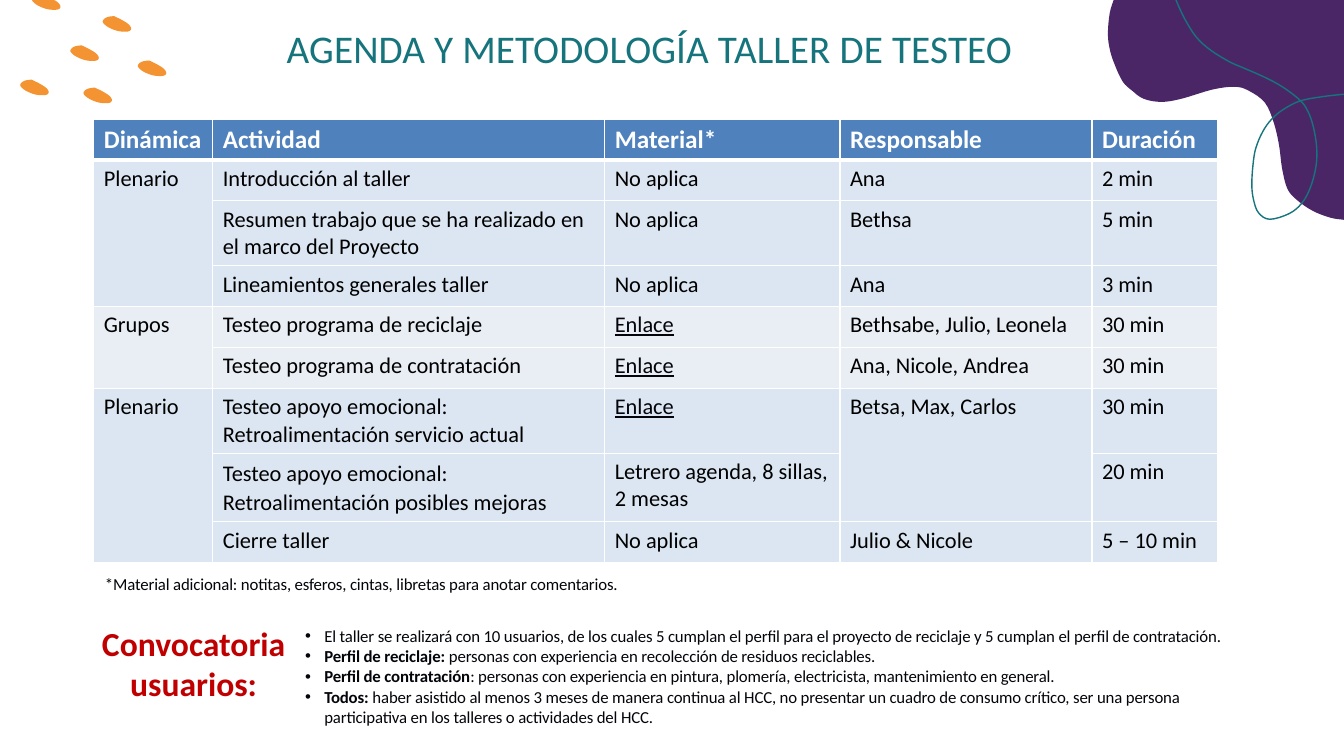
from dataclasses import dataclass

from lxml.etree import SubElement
from pptx import Presentation
from pptx.dml.color import RGBColor
from pptx.enum.text import MSO_ANCHOR, MSO_AUTO_SIZE, PP_ALIGN
from pptx.oxml import parse_xml
from pptx.oxml.ns import nsdecls, qn
from pptx.util import Pt


@dataclass(frozen=True)
class Theme:
    font: str = "Calibri"
    teal: str = "15747C"
    purple: str = "4B2667"
    orange: str = "F49331"
    red: str = "C00000"
    ink: str = "04050B"
    black: str = "000000"
    white: str = "FFFFFF"
    header: str = "4F81BD"
    blue_band: str = "DCE6F2"
    pale_band: str = "E9EDF4"
    title_size: float = 28
    callout_size: float = 24
    header_size: float = 18
    cell_size: float = 16
    note_size: float = 12


THEME = Theme()

# Content
TITLE = "AGENDA Y METODOLOGÍA TALLER DE TESTEO "
HEADINGS = ["Dinámica", "Actividad", "Material*", "Responsable", "Duración"]
LINK = "Enlace"
# None continues the cell above
AGENDA = [
    ["Plenario", "Introducción al taller", "No aplica", "Ana", "2 min"],
    [None, "Resumen trabajo que se ha realizado en el marco del Proyecto",
     "No aplica", "Bethsa", "5 min"],
    [None, "Lineamientos generales taller", "No aplica", "Ana", "3 min"],
    ["Grupos", "Testeo programa de reciclaje", LINK, "Bethsabe, Julio, Leonela", "30 min"],
    [None, "Testeo programa de contratación", LINK, "Ana, Nicole, Andrea", "30 min"],
    ["Plenario", "Testeo apoyo emocional: Retroalimentación servicio actual", LINK,
     "Betsa, Max, Carlos", "30 min"],
    [None, "Testeo apoyo emocional:\nRetroalimentación posibles mejoras",
     "Letrero agenda, 8 sillas, 2 mesas", None, "20 min"],
    [None, "Cierre taller", "No aplica", "Julio & Nicole", "5 – 10 min"],
]
FOOTNOTE = "*Material adicional: notitas, esferos, cintas, libretas para anotar comentarios."
CALLOUT = "Convocatoria usuarios:"
# Bold lead, then the rest
PROFILES = [
    ("", "El taller se realizará con 10 usuarios, de los cuales 5 cumplan el perfil para el "
         "proyecto de reciclaje y 5 cumplan el perfil de contratación."),
    ("Perfil de reciclaje: ", "personas con experiencia en recolección de residuos reciclables."),
    ("Perfil de contratación", ": personas con experiencia en pintura, plomería, electricista, "
                               "mantenimiento en general."),
    ("Todos: ", "haber asistido al menos 3 meses de manera continua al HCC, no presentar un cuadro "
                "de consumo crítico, ser una persona participativa en los talleres o actividades "
                "del HCC."),
]

# Geometry, in points
PAGE_WIDTH, PAGE_HEIGHT = 960, 540
COLUMN_WIDTHS = [85, 280, 168, 180, 89.8]
ROW_HEIGHTS = [29.2, 29.2, 45.7, 29.2, 29.2, 29.2, 45.7, 48.2, 29.2]
PETAL = [(8, 0), (4, 0.5), (1, 2), (0, 4.5), (4, 8), (11, 10.7), (18, 11), (20.2, 9),
         (18.5, 6), (14, 3), (8, 0)]
PETAL_PLACES = [(73.5, 11.5), (98.6, 43.2), (59.8, 62.6), (23, -4.1), (50.4, 32.4), (14.6, 56.9)]
BLOB_EDGE = [(795.5, 0), (792.7, 9.4), (791.4, 24), (792.7, 35), (796, 45.5), (802, 58.3),
             (809, 65), (817, 70.6), (829.5, 72.8), (843.8, 70.6), (866, 64), (882, 62),
             (892, 64.8), (903.6, 73.4), (910, 88), (913.7, 104), (915.8, 120.2),
             (919.5, 134.6), (926, 142.5), (937.5, 150.5), (950.4, 155.5), (960, 157)]
LOOP = [(840, 0), (846, 13), (854.6, 26.6), (865, 36), (878, 44), (887, 48), (903, 55),
        (916, 62), (928.5, 71.5), (934, 79), (938, 90), (940.5, 105), (940, 119), (936, 134),
        (930, 145), (921, 152.5), (907, 156.6), (899, 152), (895.5, 143), (894.2, 132.5),
        (895, 118), (897, 106), (902, 94), (908.5, 85), (917, 78), (929, 72), (945, 69),
        (960, 67.3)]


def color(code):
    return RGBColor.from_string(code)


def smooth(points, steps=4):
    """Catmull-Rom curve through the points, kept on the page."""
    padded = [points[0], *points, points[-1]]
    curve = [points[0]]
    for a, b, c, d in zip(padded, padded[1:], padded[2:], padded[3:]):
        for step in range(1, steps + 1):
            t = step / steps
            x, y = (q + t * (r - p) / 2 + t * t * (2 * p - 5 * q + 4 * r - s) / 2
                    + t ** 3 * (3 * q - p - 3 * r + s) / 2 for p, q, r, s in zip(a, b, c, d))
            curve.append((min(x, PAGE_WIDTH), max(y, 0)))
    return curve


def add_outline(page, points, fill=None, line=None):
    (x, y), *rest = [(Pt(x), Pt(y)) for x, y in points]
    builder = page.shapes.build_freeform(x, y)
    builder.add_line_segments(rest, close=fill is not None)
    shape = builder.convert_to_shape()
    shape.shadow.inherit = False
    if fill:
        shape.fill.solid()
        shape.fill.fore_color.rgb = color(fill)
        shape.line.fill.background()
    else:
        shape.fill.background()
        shape.line.color.rgb = color(line)
        shape.line.width = Pt(1)


def add_span(para, text, size, ink, bold=False, underline=False, spacing=0):
    span = para.add_run()
    span.text = text
    font = span.font
    font.name, font.size, font.bold, font.underline = THEME.font, Pt(size), bold, underline
    font.color.rgb = color(ink)
    if spacing:
        font._element.set("spc", str(round(spacing * 100)))


def prepare_frame(frame, margins=(7.2, 3.6, 7.2, 3.6)):
    frame.word_wrap = True
    frame.auto_size = MSO_AUTO_SIZE.NONE
    frame.vertical_anchor = MSO_ANCHOR.TOP
    frame.margin_left, frame.margin_top, frame.margin_right, frame.margin_bottom = map(Pt, margins)
    return frame


def add_box(page, left, top, width, height, **options):
    box = page.shapes.add_textbox(Pt(left), Pt(top), Pt(width), Pt(height))
    return prepare_frame(box.text_frame, **options)


def style_cell(cell, fill, top=1, bottom=1):
    cell.fill.solid()
    cell.fill.fore_color.rgb = color(fill)
    properties = cell._tc.get_or_add_tcPr()
    for place, (side, width) in enumerate(zip("LRTB", (1, 1, top, bottom))):
        properties.insert(place, parse_xml(
            f'<a:ln{side} {nsdecls("a")} w="{Pt(width)}"><a:solidFill>'
            f'<a:srgbClr val="{THEME.white}"/></a:solidFill></a:ln{side}>'))


def add_agenda(page):
    table = page.shapes.add_table(len(ROW_HEIGHTS), len(COLUMN_WIDTHS), Pt(67), Pt(85),
                                  Pt(sum(COLUMN_WIDTHS)), Pt(sum(ROW_HEIGHTS))).table
    for column, width in zip(table.columns, COLUMN_WIDTHS):
        column.width = Pt(width)
    for row, height in zip(table.rows, ROW_HEIGHTS):
        row.height = Pt(height)

    for column, heading in enumerate(HEADINGS):
        cell = table.cell(0, column)
        add_span(cell.text_frame.paragraphs[0], heading, THEME.header_size, THEME.white, bold=True)
        style_cell(cell, THEME.header, bottom=3)

    owners = {}
    for row, entries in enumerate(AGENDA, start=1):
        if entries[0]:
            band = THEME.pale_band if entries[0] == "Grupos" else THEME.blue_band
        for column, text in enumerate(entries):
            cell = table.cell(row, column)
            style_cell(cell, band, top=3 if row == 1 else 1)
            if text is None:
                owners[owners[column], column] = row
                continue
            owners[column] = row
            lines = text.split("\n")
            for number, line in enumerate(lines):
                frame = cell.text_frame
                para = frame.add_paragraph() if number else frame.paragraphs[0]
                if len(lines) > 1:
                    para.line_spacing = 1.07
                is_link = line == LINK
                add_span(para, line, THEME.cell_size, THEME.ink if is_link else THEME.black,
                         underline=is_link)
    spans = [(key, last) for key, last in owners.items() if isinstance(key, tuple)]
    for (first, column), last in spans:
        table.cell(first, column).merge(table.cell(last, column))


def main():
    deck = Presentation()
    deck.slide_width, deck.slide_height = Pt(PAGE_WIDTH), Pt(PAGE_HEIGHT)
    page = deck.slides.add_slide(deck.slide_layouts[5])

    # Corner decorations
    for left, top in PETAL_PLACES:
        add_outline(page, smooth([(left + x, top + y) for x, y in PETAL]), fill=THEME.orange)
    add_outline(page, smooth(BLOB_EDGE) + [(PAGE_WIDTH, 0)], fill=THEME.purple)
    add_outline(page, smooth(LOOP), line=THEME.teal)

    # Title
    title = page.shapes.title
    title.left, title.top, title.width, title.height = Pt(172.8), Pt(4.3), Pt(589), Pt(46.8)
    para = prepare_frame(title.text_frame, margins=(0, 13, 0, 0)).paragraphs[0]
    para.alignment = PP_ALIGN.CENTER
    add_span(para, TITLE, THEME.title_size, THEME.teal, spacing=0.1)

    # Agenda table and its footnote
    add_agenda(page)
    para = add_box(page, 67, 406, 803, 21.6).paragraphs[0]
    para._p.get_or_add_pPr().set("marL", str(Pt(0.9)))
    add_span(para, FOOTNOTE, THEME.note_size, THEME.ink, spacing=-0.1)

    # Participant profiles
    frame = add_box(page, 210.2, 443.5, 682, 80)
    for number, (lead, rest) in enumerate(PROFILES):
        para = frame.add_paragraph() if number else frame.paragraphs[0]
        properties = para._p.get_or_add_pPr()
        properties.set("marL", str(Pt(14.4)))
        properties.set("indent", str(Pt(-13.7)))
        SubElement(properties, qn("a:buFont")).set("typeface", "Arial")
        SubElement(properties, qn("a:buChar")).set("char", "•")
        if lead:
            add_span(para, lead, THEME.note_size, THEME.ink, bold=True, spacing=-0.1)
        add_span(para, rest, THEME.note_size, THEME.ink, spacing=-0.1)

    # Callout
    para = add_box(page, 67, 444.2, 142.6, 59, margins=(0, 0.7, 0, 0)).paragraphs[0]
    para.alignment = PP_ALIGN.CENTER
    add_span(para, CALLOUT, THEME.callout_size, THEME.red, bold=True)

    deck.save("out.pptx")


if __name__ == "__main__":
    main()
